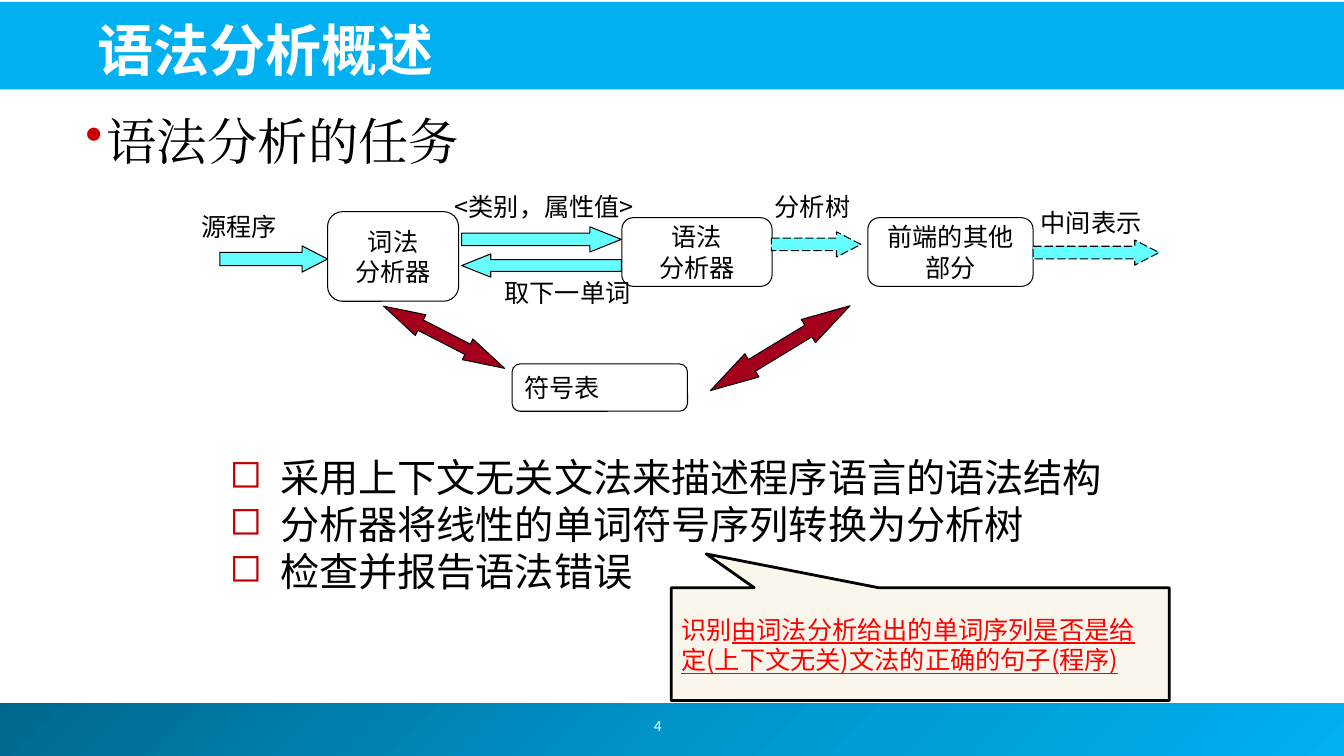
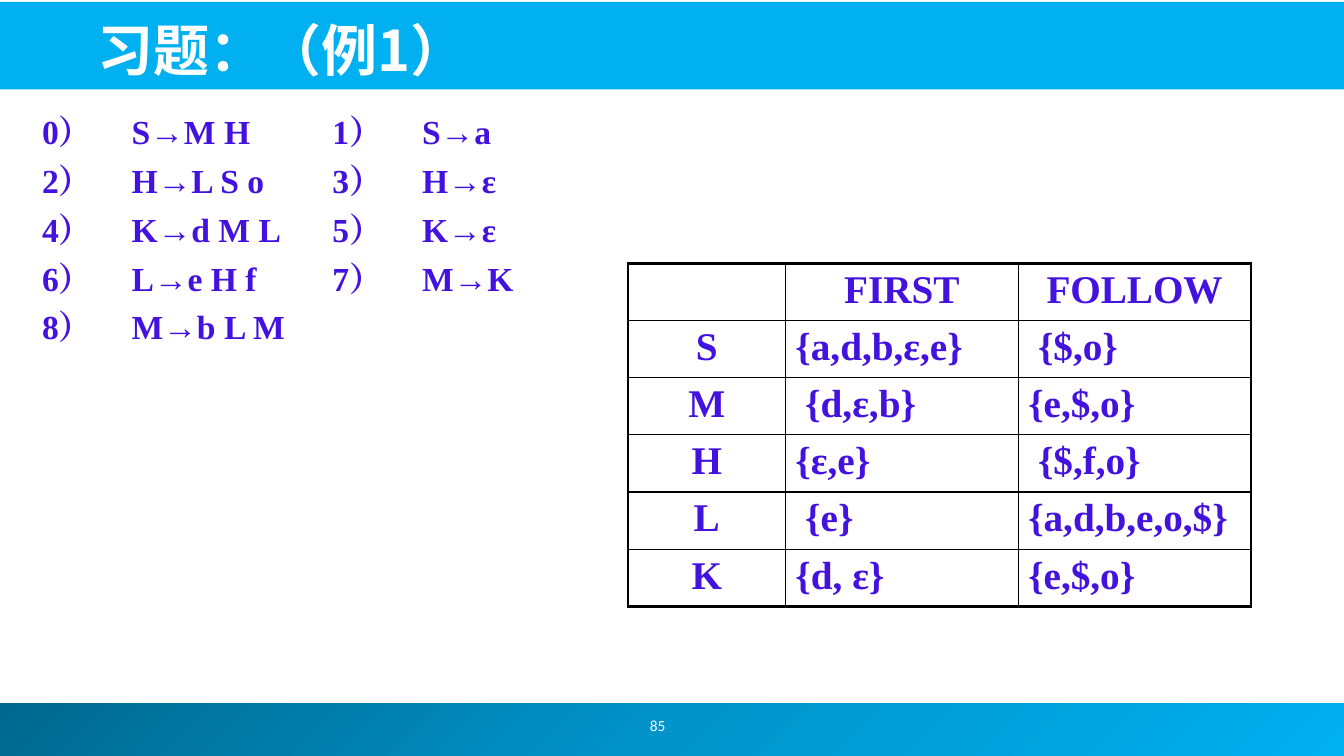
from copy import deepcopy

from lxml.etree import SubElement
from pptx import Presentation
from pptx.dml.color import RGBColor
from pptx.enum.dml import MSO_LINE
from pptx.enum.shapes import MSO_SHAPE as Shape
from pptx.enum.text import MSO_ANCHOR as Anchor, PP_ALIGN as Align
from pptx.oxml.ns import qn
from pptx.util import Pt

COLORS = {
    "band": "00B0F0", "deep": "00688E", "mid": "0094CA", "white": "FFFFFF",
    "ink": "000000", "flow": "66FFFF", "access": "A4001D", "note": "FAF6EB",
    "alert": "FF0000", "dot": "CC0000", "square": "C00000", "grammar": "4312DE",
}
SANS, SERIF = "Noto Sans CJK JP", "Times New Roman"


def rgb(name):
    return RGBColor.from_string(COLORS[name])


def text_format(font, size, color, bold=False, align=Align.LEFT, pitch=None, before=0):
    return {
        "font": {"name": font, "size": Pt(size), "bold": bold},
        "paragraph": {"alignment": align, "line_spacing": Pt(pitch) if pitch else None},
        "color": color,
        "before": before,
    }


TITLE = text_format(SANS, 40, "white", True, pitch=48)
PAGE = text_format("Calibri", 11, "white", align=Align.CENTER)
HEADING = text_format(SERIF, 36, "ink")
LABEL = text_format(SANS, 18, "ink", align=Align.CENTER, pitch=21.6)
ENTRY = text_format(SANS, 18, "ink", pitch=21.6)
POINT = text_format(SANS, 28, "ink", pitch=33.6)
NOTE = text_format(SANS, 18, "alert", pitch=21.6)
RULE = text_format(SERIF, 24, "grammar", True, before=6)
SET = text_format(SERIF, 28, "grammar", True)
HEAD = text_format(SERIF, 28, "grammar", True, Align.CENTER)


def set_all(target, values):
    for attr, value in values.items():
        setattr(target, attr, value)


def add_bullet(paragraph, char, color, indent):
    props = paragraph._p.get_or_add_pPr()
    props.set("marL", str(Pt(indent)))
    props.set("indent", str(-Pt(indent)))
    tint = SubElement(props, qn("a:buClr"))
    SubElement(tint, qn("a:srgbClr"), val=COLORS[color])
    SubElement(props, qn("a:buChar"), char=char)


def add_tab(paragraph, position):
    stops = SubElement(paragraph._p.get_or_add_pPr(), qn("a:tabLst"))
    SubElement(stops, qn("a:tab"), pos=str(Pt(position)), algn="l")


def write(frame, paragraphs, look, bullet=None, tab=None):
    for index, content in enumerate(paragraphs):
        paragraph = frame.add_paragraph() if index else frame.paragraphs[0]
        if bullet:
            add_bullet(paragraph, *bullet)
        if tab:
            add_tab(paragraph, tab)
        set_all(paragraph, look["paragraph"])
        if index and look["before"]:
            paragraph.space_before = Pt(look["before"])
        runs = [(content, {})] if isinstance(content, str) else content
        for words, extra in runs:
            run = paragraph.add_run()
            run.text = words
            set_all(run.font, {**look["font"], **extra})
            run.font.color.rgb = rgb(look["color"])
            SubElement(run._r.get_or_add_rPr(), qn("a:ea"), typeface=look["font"]["name"])


def add_text(slide, box, paragraphs, look, anchor=Anchor.TOP, wrap=True, **marks):
    frame = slide.shapes.add_textbox(*map(Pt, box)).text_frame
    set_all(frame, {"word_wrap": wrap, "vertical_anchor": anchor})
    write(frame, paragraphs, look, **marks)


def add_figure(slide, kind, box, fill=None, line="ink", weight=0.75,
               adjust=(), turn=0, dash=None):
    figure = slide.shapes.add_shape(kind, *map(Pt, box))
    figure.shadow.inherit = False
    figure.rotation = turn
    for index, value in enumerate(adjust):
        figure.adjustments[index] = value
    if fill:
        figure.fill.solid()
        figure.fill.fore_color.rgb = rgb(fill)
    else:
        figure.fill.background()
    if line:
        figure.line.color.rgb = rgb(line)
        set_all(figure.line, {"width": Pt(weight), "dash_style": dash})
    else:
        figure.line.fill.background()
    return figure


def add_node(slide, box, paragraphs, look=LABEL, wrap=True, **style):
    node = add_figure(slide, Shape.ROUNDED_RECTANGLE, box, adjust=(0.167,), **style)
    set_all(node.text_frame, {"word_wrap": wrap, "vertical_anchor": Anchor.MIDDLE})
    write(node.text_frame, paragraphs, look)
    return node


def add_footer_band(slide):
    footer = add_figure(slide, Shape.RECTANGLE, (-3.6, 502.5, 964, 37.5), line=None)
    footer.fill.gradient()
    footer.fill.gradient_angle = 315
    stop_list = footer._element.spPr.find(".//" + qn("a:gsLst"))
    stop_list.insert(1, deepcopy(stop_list[0]))
    shades = ("deep", "mid", "band")
    for stop, shade, position in zip(footer.fill.gradient_stops, shades, (0, 0.5, 1)):
        stop.color.rgb = rgb(shade)
        stop.position = position


def new_slide(deck, title, page):
    slide = deck.slides.add_slide(deck.slide_layouts[6])
    add_footer_band(slide)
    add_figure(slide, Shape.RECTANGLE, (-1.5, 1.4, 962, 62.6), "band", None)
    add_text(slide, (62.6, 5.5, 868, 57), [title], TITLE, Anchor.BOTTOM)
    add_text(slide, (365.8, 500.4, 208, 36), [page], PAGE, Anchor.MIDDLE)
    return slide


def add_parser_diagram(slide):
    source = add_node(slide, (134.6, 139.7, 64.8, 43.9), ["源程序"], ENTRY, False,
                      fill="white", line="white")
    tint = source._element.spPr.find(qn("a:solidFill"))[0]
    SubElement(tint, qn("a:alpha"), val="50000")
    for box, lines in (
        ((234, 151.2, 93.6, 64), ["词法", "分析器"]),
        ((444.2, 155.5, 107.3, 49), ["语法", "分析器"]),
        ((619.9, 155.5, 118, 49), ["前端的其他部分"]),
    ):
        add_node(slide, box, lines)
    add_node(slide, (365.8, 260, 125.3, 33.8), ["符号表"], ENTRY)

    for kind, box, head, dash in (
        (Shape.RIGHT_ARROW, (157, 175.7, 77, 18.7), 0.97, None),
        (Shape.RIGHT_ARROW, (329.8, 162, 114, 18), 1.25, None),
        (Shape.LEFT_ARROW, (329.8, 181.4, 114, 16.6), 1.25, None),
        (Shape.RIGHT_ARROW, (551, 165.6, 64, 18), 0.97, MSO_LINE.LONG_DASH),
        (Shape.RIGHT_ARROW, (738, 171.4, 90, 18), 0.97, MSO_LINE.LONG_DASH),
    ):
        add_figure(slide, kind, box, "flow", adjust=(0.5, head), dash=dash)
    for box, turn in (((268.6, 232.6, 97.2, 16.6), 27.2), ((499, 239, 116.6, 19.4), 328.7)):
        add_figure(slide, Shape.LEFT_RIGHT_ARROW, box, "access", adjust=(0.5, 1.79), turn=turn)

    for box, words in (
        ((311.8, 133.2, 154, 28.8), "<类别，属性值>"),
        ((344.2, 194.8, 122.4, 28.8), "取下一单词"),
        ((542.9, 133.2, 74.9, 28.8), "分析树"),
        ((730.8, 144.7, 97.2, 28.8), "中间表示"),
    ):
        add_text(slide, box, [words], LABEL, wrap=False)


def build_overview(deck):
    slide = new_slide(deck, "语法分析概述", "4")
    add_text(slide, (54, 75, 762, 60), ["语法分析的任务"], HEADING, bullet=("•", "dot", 15))
    add_parser_diagram(slide)
    add_text(slide, (157, 320, 664, 108.7), [
        "采用上下文无关文法来描述程序语言的语法结构",
        "分析器将线性的单词符号序列转换为分析树",
        "检查并报告语法错误",
    ], POINT, bullet=("◻", "square", 36))
    note = add_figure(slide, Shape.RECTANGULAR_CALLOUT, (479.5, 419.8, 355.7, 80.6),
                      "note", weight=2, adjust=(-0.43, -0.8))
    set_all(note.text_frame, {"word_wrap": True, "vertical_anchor": Anchor.MIDDLE})
    write(note.text_frame, [[
        ("识别", {}),
        ("由词法分析给出的单词序列是否是给定(上下文无关)文法的正确的句子(程序)",
         {"underline": True}),
    ]], NOTE)


def set_borders(cell, weights):
    props = cell._tc.get_or_add_tcPr()
    for index, (side, weight) in enumerate(weights.items()):
        edge = props.makeelement(qn("a:" + side), {"w": str(Pt(weight))})
        ink = SubElement(edge, qn("a:solidFill"))
        SubElement(ink, qn("a:srgbClr"), val=COLORS["ink"])
        props.insert(index, edge)


def add_set_table(slide, rows, left, top, widths, height):
    last_row, last_col = len(rows) - 1, len(widths) - 1
    table = slide.shapes.add_table(len(rows), len(widths), Pt(left), Pt(top),
                                   Pt(sum(widths)), Pt(height * len(rows))).table
    set_all(table, {"first_row": False, "horz_banding": False})
    for column, width in zip(table.columns, widths):
        column.width = Pt(width)
    for r, row in enumerate(rows):
        table.rows[r].height = Pt(height)
        for c, words in enumerate(row):
            cell = table.cell(r, c)
            cell.fill.background()
            outer = {"lnL": c == 0, "lnR": c == last_col, "lnT": r == 0, "lnB": r == last_row}
            set_borders(cell, {side: 2.25 if edge else 1 for side, edge in outer.items()})
            if words:
                write(cell.text_frame, [words], HEAD if r == 0 or c == 0 else SET)


def build_exercise(deck):
    slide = new_slide(deck, "习题：（例1）", "85")
    productions = ["S→M H", "S→a", "H→L S o", "H→ε", "K→d M L", "K→ε",
                   "L→e H f", "M→K", "M→b L M"]
    numbered = [f"{number}）\t{rule}" for number, rule in enumerate(productions)]
    add_set_table(slide, [
        ("", "FIRST", "FOLLOW"),
        ("S", "{a,d,b,ε,e}", " {$,o}"),
        ("M", " {d,ε,b}", "{e,$,o}"),
        ("H", "{ε,e}", " {$,f,o}"),
        ("L", " {e}", "{a,d,b,e,o,$}"),
        ("K", "{d, ε}", "{e,$,o}"),
    ], 448.6, 188, (112.4, 166.3, 166.3), 40.7)
    for parity, left, width in ((0, 23, 232), (1, 230.4, 193)):
        add_text(slide, (left, 76, width, 173), numbered[parity::2], RULE, tab=64)


def main():
    deck = Presentation()
    set_all(deck, {"slide_width": Pt(960), "slide_height": Pt(540)})
    build_overview(deck)
    build_exercise(deck)
    deck.save("out.pptx")


if __name__ == "__main__":
    main()
